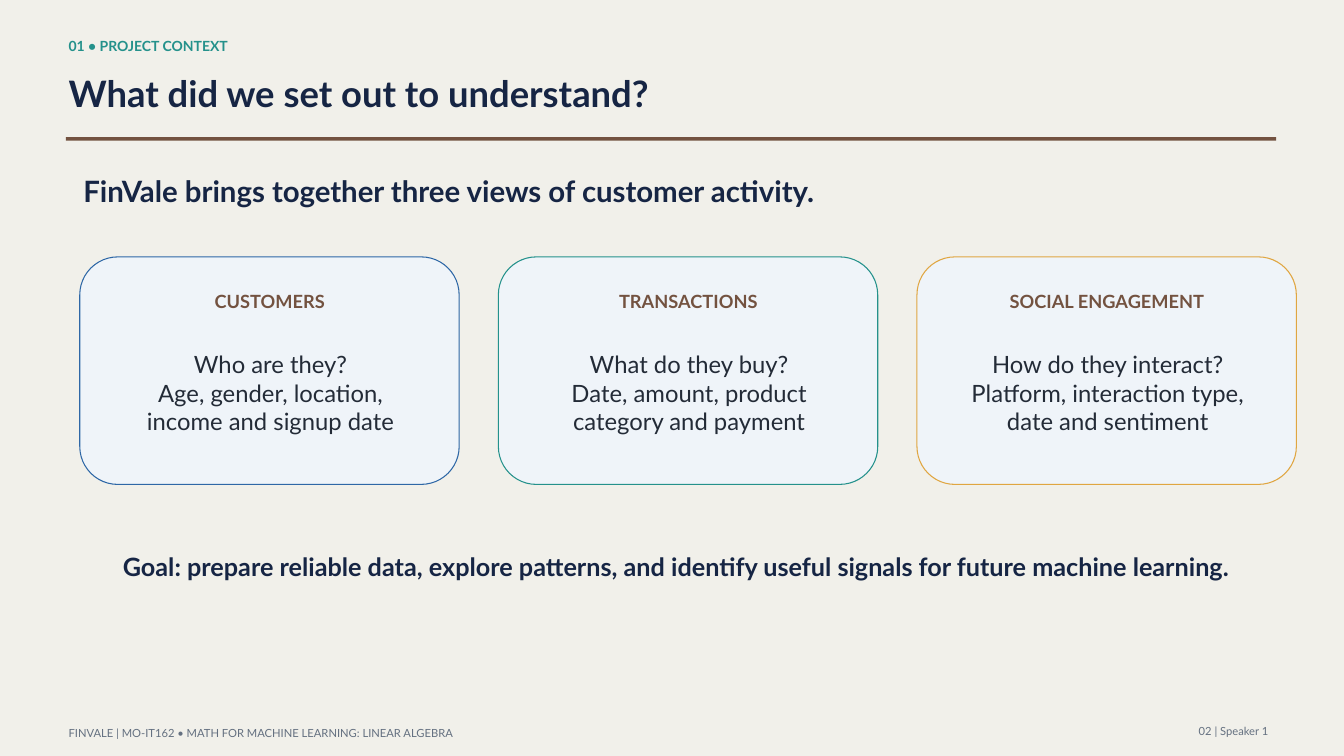
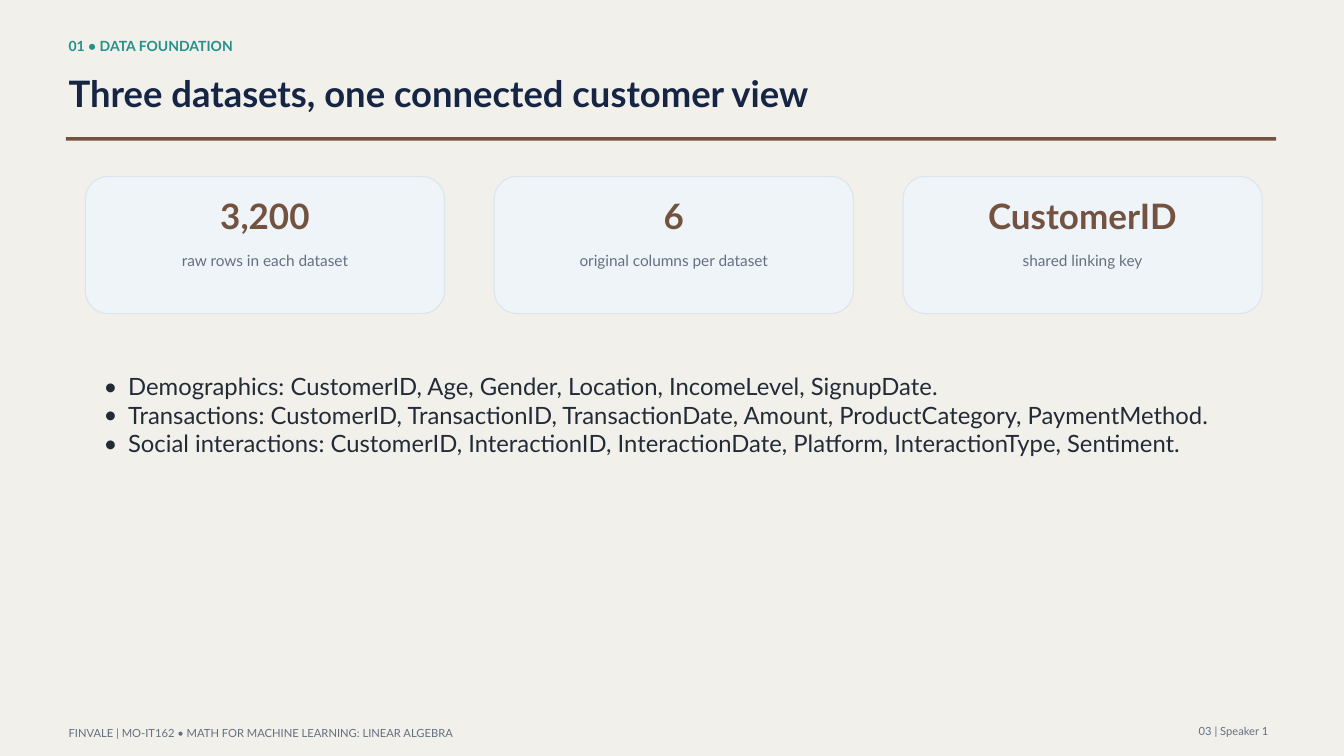
from dataclasses import dataclass

from lxml.etree import SubElement
from pptx import Presentation
from pptx.dml.color import RGBColor
from pptx.enum.shapes import MSO_SHAPE as Preset
from pptx.enum.text import PP_ALIGN as Align
from pptx.oxml.ns import qn
from pptx.util import Emu, Pt

PX = 9525
LINE_RATIO = 1.2


@dataclass(frozen=True)
class Theme:
    font: str = "Lato"
    paper: str = "F1F0EA"
    card: str = "EFF4F9"
    card_edge: str = "DCE4ED"
    navy: str = "162544"
    ink: str = "232B37"
    grey: str = "647080"
    brown: str = "735240"
    teal: str = "24918B"
    blue: str = "2E67A6"
    gold: str = "E0A641"
    footer_size: float = 12
    eyebrow_size: float = 15
    label_size: float = 16.5
    heading_size: float = 19.5
    body_size: float = 25.5
    goal_size: float = 27
    lead_size: float = 31.5
    value_size: float = 37.5
    title_size: float = 39
    edge_width: float = 1.13


THEME = Theme()
COURSE = "FINVALE | MO-IT162 • MATH FOR MACHINE LEARNING: LINEAR ALGEBRA"


def px(*lengths):
    return [Emu(length * PX) for length in lengths]


def inside(box, left, top, width, height):
    return box[0] + left, box[1] + top, width, height


def row_boxes(first, pitch, count=3):
    left, top, width, height = first
    return [(left + pitch * column, top, width, height) for column in range(count)]


def add_bullet(paragraph, indent):
    properties = paragraph._p.get_or_add_pPr()
    properties.set("marL", str(indent * PX))
    properties.set("indent", str(-indent * PX))
    SubElement(properties, qn("a:buFont"), typeface=THEME.font)
    SubElement(properties, qn("a:buChar"), char="•")


def add_text(slide, box, lines, size, color, bold=False, align=Align.LEFT, bullet_indent=0):
    frame = slide.shapes.add_textbox(*px(*box)).text_frame
    frame.margin_left = frame.margin_top = frame.margin_right = frame.margin_bottom = 0
    frame.word_wrap = True
    frame.text = "\n".join(lines)
    for paragraph in frame.paragraphs:
        if bullet_indent:
            add_bullet(paragraph, bullet_indent)
        paragraph.alignment = align
        paragraph.line_spacing = Pt(size * LINE_RATIO)
        font = paragraph.font
        font.name, font.size, font.bold = THEME.font, Pt(size), bold
        font.color.rgb = RGBColor.from_string(color)


def add_panel(slide, preset, box, fill, edge=None):
    panel = slide.shapes.add_shape(preset, *px(*box))
    panel.shadow.inherit = False
    panel.fill.solid()
    panel.fill.fore_color.rgb = RGBColor.from_string(fill)
    if edge:
        panel.line.color.rgb = RGBColor.from_string(edge)
        panel.line.width = Pt(THEME.edge_width)
    else:
        panel.line.fill.background()


def add_page(deck, eyebrow, title, number):
    slide = deck.slides.add_slide(deck.slide_layouts[6])
    slide.background.fill.solid()
    slide.background.fill.fore_color.rgb = RGBColor.from_string(THEME.paper)
    add_text(slide, (98, 54, 1692, 32), [eyebrow], THEME.eyebrow_size, THEME.teal, True)
    add_text(slide, (98, 101, 1721, 79), [title], THEME.title_size, THEME.navy, True)
    add_panel(slide, Preset.RECTANGLE, (94, 196, 1729, 5), THEME.brown)
    add_text(slide, (98, 1038, 1289, 18), [COURSE], THEME.footer_size, THEME.grey)
    add_text(slide, (1474, 1035, 338, 21), [f"{number:02d} | Speaker 1"],
             THEME.footer_size, THEME.grey, align=Align.RIGHT)
    return slide


def add_view_card(slide, box, heading, lines, edge):
    add_panel(slide, Preset.ROUNDED_RECTANGLE, box, THEME.card, edge)
    add_text(slide, inside(box, 34, 47, 475, 46), [heading],
             THEME.heading_size, THEME.brown, True, Align.CENTER)
    add_text(slide, inside(box, 42, 133, 461, 139), lines,
             THEME.body_size, THEME.ink, align=Align.CENTER)


def add_fact_card(slide, box, value, label):
    add_panel(slide, Preset.ROUNDED_RECTANGLE, box, THEME.card, THEME.card_edge)
    add_text(slide, inside(box, 26, 26, 461, 64), [value],
             THEME.value_size, THEME.brown, True, Align.CENTER)
    add_text(slide, inside(box, 22, 107, 469, 60), [label],
             THEME.label_size, THEME.grey, align=Align.CENTER)


def build_context(deck):
    slide = add_page(deck, "01 • PROJECT CONTEXT", "What did we set out to understand?", 2)
    add_text(slide, (119, 248, 1649, 60),
             ["FinVale brings together three views of customer activity."],
             THEME.lead_size, THEME.navy, True)
    views = [
        ("CUSTOMERS",
         ["Who are they?", "Age, gender, location,", "income and signup date"], THEME.blue),
        ("TRANSACTIONS",
         ["What do they buy?", "Date, amount, product", "category and payment"], THEME.teal),
        ("SOCIAL ENGAGEMENT",
         ["How do they interact?", "Platform, interaction type,", "date and sentiment"], THEME.gold),
    ]
    for box, view in zip(row_boxes((114, 367, 542, 325), 598), views):
        add_view_card(slide, box, *view)
    add_text(slide, (141, 788, 1649, 104),
             ["Goal: prepare reliable data, explore patterns, and identify useful signals "
              "for future machine learning."],
             THEME.goal_size, THEME.navy, True, Align.CENTER)


def build_foundation(deck):
    slide = add_page(deck, "01 • DATA FOUNDATION", "Three datasets, one connected customer view", 3)
    facts = [
        ("3,200", "raw rows in each dataset"),
        ("6", "original columns per dataset"),
        ("CustomerID", "shared linking key"),
    ]
    for box, fact in zip(row_boxes((122, 252, 513, 196), 584), facts):
        add_fact_card(slide, box, *fact)
    datasets = [
        "Demographics: CustomerID, Age, Gender, Location, IncomeLevel, SignupDate.",
        "Transactions: CustomerID, TransactionID, TransactionDate, Amount, "
        "ProductCategory, PaymentMethod.",
        "Social interactions: CustomerID, InteractionID, InteractionDate, Platform, "
        "InteractionType, Sentiment.",
    ]
    add_text(slide, (148, 531, 1620, 315), datasets, THEME.body_size, THEME.ink, bullet_indent=35)


def main():
    deck = Presentation()
    deck.slide_width, deck.slide_height = px(1920, 1080)
    build_context(deck)
    build_foundation(deck)
    deck.save("out.pptx")


if __name__ == "__main__":
    main()
